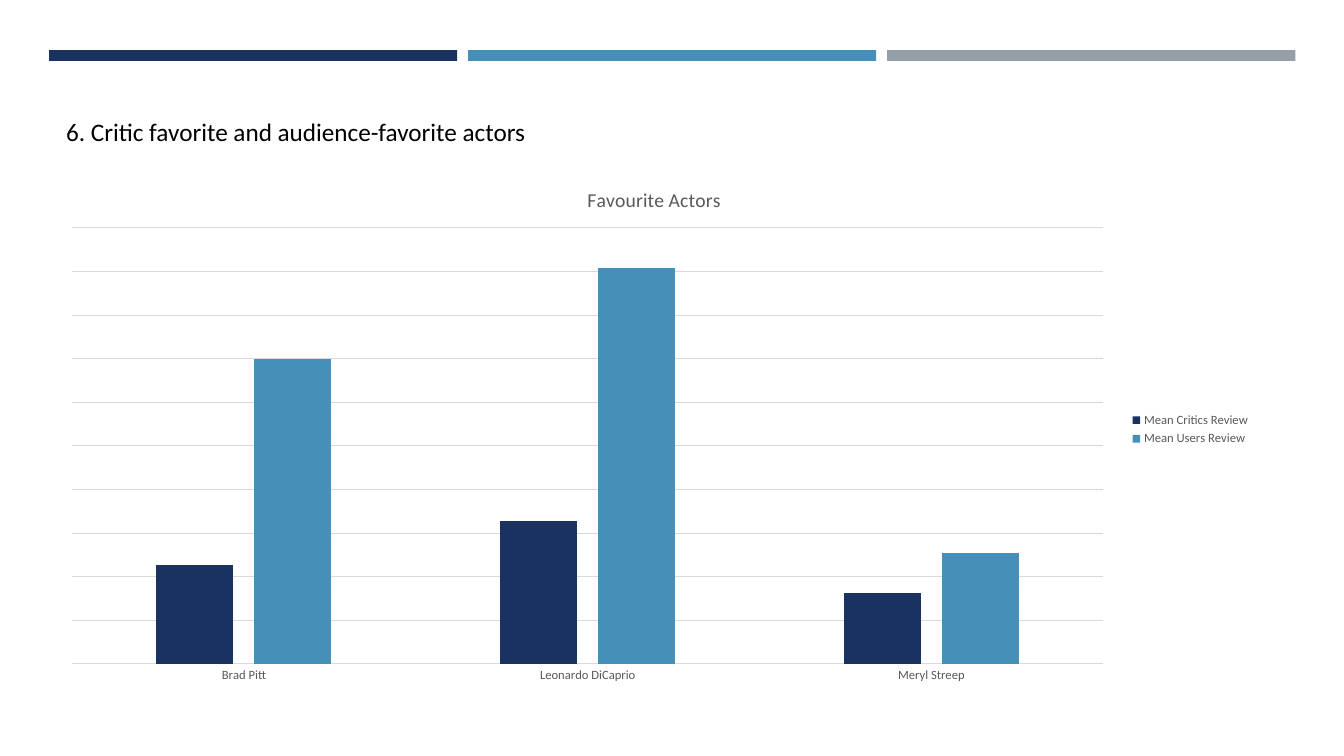
from dataclasses import dataclass

from lxml import etree
from pptx import Presentation
from pptx import util as u
from pptx.chart.data import CategoryChartData
from pptx.dml.color import RGBColor
from pptx.enum import chart as charts, shapes, text
from pptx.oxml.ns import qn

PIXEL = 914400 / 100.8


@dataclass(frozen=True)
class Theme:
    """Colours, type sizes and font of the deck."""
    font: str = "Calibri"
    navy: str = "1A3260"
    blue: str = "4590B8"
    grey: str = "969FA7"
    ink: str = "000000"
    label: str = "595959"
    rule: str = "D9D9D9"
    title_size: int = 18
    chart_title_size: int = 14
    label_size: int = 9
    rule_width: float = 0.75


def px(*lengths):
    """Turn picture pixels into EMU."""
    return [u.Emu(round(length * PIXEL)) for length in lengths]


class SlideBuilder:
    """Draws styled elements on the current slide."""

    def __init__(self, slide, theme):
        """Keep the slide and its theme."""
        self.slide, self.theme = slide, theme

    def style(self, font, size, color):
        """Set face, size and colour of a font."""
        font.name, font.size, font.bold = self.theme.font, u.Pt(size), False
        font.color.rgb = RGBColor.from_string(color)

    def rule(self, line):
        """Make a line a thin pale rule."""
        line.color.rgb = RGBColor.from_string(self.theme.rule)
        line.width = u.Pt(self.theme.rule_width)

    def bar(self, left, top, width, height, color):
        """Add a plain filled rectangle."""
        box = self.slide.shapes.add_shape(
            shapes.MSO_SHAPE.RECTANGLE, *px(left, top, width, height))
        box.shadow.inherit = False
        box.fill.solid()
        box.fill.fore_color.rgb = RGBColor.from_string(color)
        box.line.fill.background()

    def title(self, left, top, width, height, words):
        """Place and fill the title placeholder."""
        box = self.slide.shapes.title
        box.left, box.top, box.width, box.height = px(left, top, width, height)
        frame = box.text_frame
        frame.word_wrap = True
        frame.auto_size = text.MSO_AUTO_SIZE.NONE
        frame.vertical_anchor = text.MSO_ANCHOR.TOP
        para = frame.paragraphs[0]
        para.alignment = text.PP_ALIGN.LEFT
        span = para.add_run()
        span.text = words
        self.style(span.font, self.theme.title_size, self.theme.ink)

    def column_chart(self, left, top, width, height, words, categories, series, plot_area):
        """Add a clustered column chart with its legend on the right."""
        theme = self.theme
        data = CategoryChartData()
        data.categories = categories
        for name, values, _ in series:
            data.add_series(name, values)
        chart = self.slide.shapes.add_chart(
            charts.XL_CHART_TYPE.COLUMN_CLUSTERED,
            *px(left, top, width, height), data).chart
        self.style(chart.font, theme.label_size, theme.label)

        chart.has_title = True
        span = chart.chart_title.text_frame.paragraphs[0].add_run()
        span.text = words
        self.style(span.font, theme.chart_title_size, theme.label)
        chart.chart_title.include_in_layout = False

        chart.has_legend = True
        chart.legend.position = charts.XL_LEGEND_POSITION.RIGHT
        chart.legend.include_in_layout = False
        self.style(chart.legend.font, theme.label_size, theme.label)

        plot = chart.plots[0]
        plot.vary_by_categories = False
        plot.gap_width, plot.overlap = 219, -27
        for drawn, (_, _, color) in zip(plot.series, series):
            drawn.format.fill.solid()
            drawn.format.fill.fore_color.rgb = RGBColor.from_string(color)

        names = chart.category_axis
        names.major_tick_mark = charts.XL_TICK_MARK.NONE
        self.style(names.tick_labels.font, theme.label_size, theme.label)
        self.rule(names.format.line)

        scale = chart.value_axis
        scale.visible = False
        scale.minimum_scale, scale.maximum_scale, scale.major_unit = 0, 110, 11
        scale.has_major_gridlines = True
        self.rule(scale.major_gridlines.format.line)

        plot_left, plot_top, plot_width, plot_height = plot_area
        self.fix_plot_area(chart, {
            "x": (plot_left - left) / width, "y": (plot_top - top) / height,
            "w": plot_width / width, "h": plot_height / height})

    def fix_plot_area(self, chart, fractions):
        """Pin the inner plot area to fractions of the chart."""
        area = chart.element.find(".//" + qn("c:plotArea"))
        for old in area.findall(qn("c:layout")):
            area.remove(old)
        layout = etree.Element(qn("c:layout"))
        manual = etree.SubElement(layout, qn("c:manualLayout"))
        settings = {"layoutTarget": "inner", "xMode": "edge", "yMode": "edge"}
        settings.update({key: f"{part:.4f}" for key, part in fractions.items()})
        for key, value in settings.items():
            etree.SubElement(manual, qn("c:" + key)).set("val", value)
        area.insert(0, layout)


def main():
    """Build and save the deck."""
    theme = Theme()
    deck = Presentation()
    deck.slide_width, deck.slide_height = u.Inches(13.33), u.Inches(7.5)
    page = SlideBuilder(deck.slides.add_slide(deck.slide_layouts[5]), theme)

    bar_width, bar_gap = 408, 11
    for index, color in enumerate((theme.navy, theme.blue, theme.grey)):
        page.bar(49 + index * (bar_width + bar_gap), 50, bar_width, 11, color)

    page.title(56, 111, 1232, 40, "6. Critic favorite and audience-favorite actors")
    page.column_chart(
        48, 167, 1212, 525, "Favourite Actors",
        ("Brad Pitt", "Leonardo DiCaprio", "Meryl Streep"),
        (("Mean Critics Review", (25, 36, 18), theme.navy),
         ("Mean Users Review", (77, 100, 28), theme.blue)),
        plot_area=(72, 228, 1031, 436))
    deck.save("out.pptx")


main()
